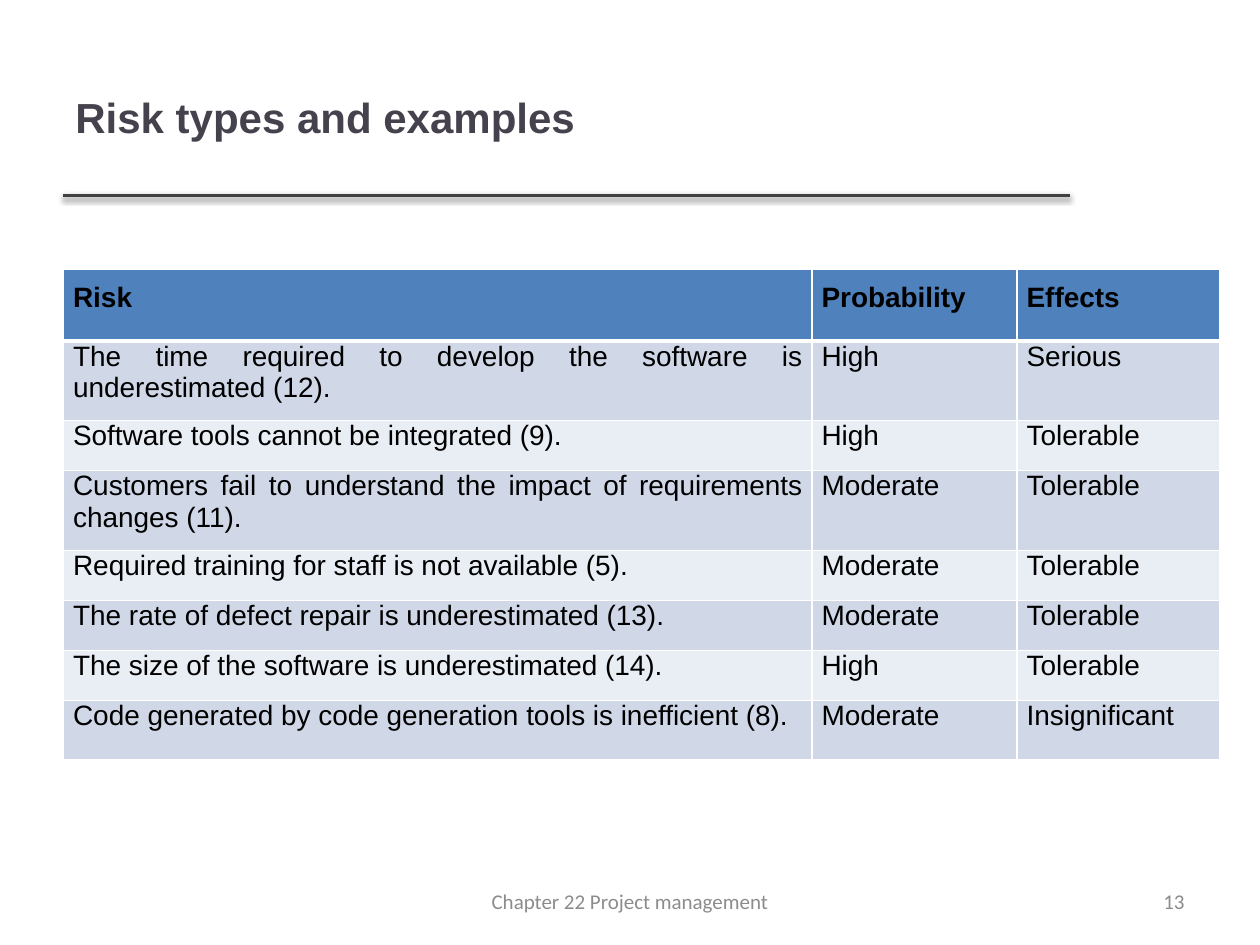
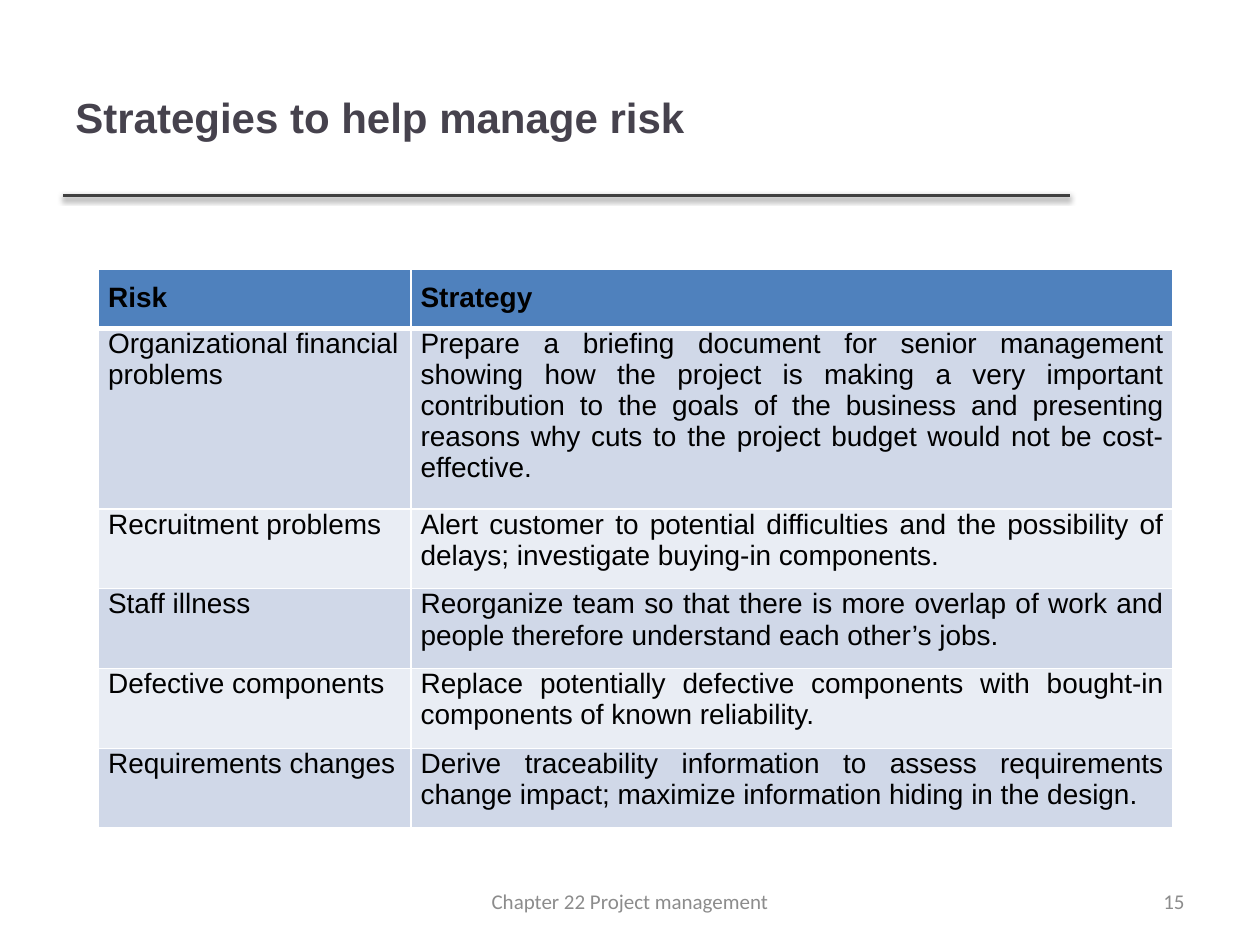
"""Build two project risk slides, each with a ruled title, a table and a footer."""
from lxml.etree import SubElement
from pptx import Presentation
from pptx.dml.color import RGBColor
from pptx.enum.shapes import MSO_CONNECTOR
from pptx.enum.text import MSO_ANCHOR, PP_ALIGN as Align
from pptx.oxml.ns import qn
from pptx.util import Pt

COLOURS = {
    "title": "46424D",
    "rule": "404040",
    "footer": "8C8C8C",
    "text": "000000",
    "shadow": "000000",
    "header": "4F81BD",
    "odd": "D0D8E8",
    "even": "E9EDF4",
    "border": "FFFFFF",
}
CHAPTER = "Chapter 22 Project management"

RISKS = [
    ("Risk", "Probability", "Effects"),
    ("The time required to develop the software is underestimated (12).", "High", "Serious"),
    ("Software tools cannot be integrated (9).", "High", "Tolerable"),
    ("Customers fail to understand the impact of requirements changes (11).", "Moderate", "Tolerable"),
    ("Required training for staff is not available (5).", "Moderate", "Tolerable"),
    ("The rate of defect repair is underestimated (13).", "Moderate", "Tolerable"),
    ("The size of the software is underestimated (14).", "High", "Tolerable"),
    ("Code generated by code generation tools is inefficient (8).", "Moderate", "Insignificant"),
]
STRATEGIES = [
    ("Risk", "Strategy"),
    ("Organizational financial problems",
     "Prepare a briefing document for senior management showing how the project is making "
     "a very important contribution to the goals of the business and presenting reasons why "
     "cuts to the project budget would not be cost-effective."),
    ("Recruitment problems",
     "Alert customer to potential difficulties and the possibility of delays; "
     "investigate buying-in components."),
    ("Staff illness",
     "Reorganize team so that there is more overlap of work and people therefore "
     "understand each other’s jobs."),
    ("Defective components",
     "Replace potentially defective components with bought-in components of known reliability."),
    ("Requirements changes",
     "Derive traceability information to assess requirements change impact; "
     "maximize information hiding in the design."),
]


def rgb(name):
    return RGBColor.from_string(COLOURS[name])


class Deck:
    def __init__(self):
        self.presentation = Presentation()
        self.presentation.slide_width = Pt(720)
        self.presentation.slide_height = Pt(540)
        self.slide = None

    def start_slide(self, title, number):
        self.slide = self.presentation.slides.add_slide(self.presentation.slide_layouts[6])
        self.rule()
        self.text(title, (36, 21.6, 574.6, 90), Align.LEFT, 24, "title", "Arial", True)
        self.text(str(number), (516, 500.4, 168, 28.8), Align.RIGHT, 12, "footer", "Calibri")
        self.text(CHAPTER, (246, 500.4, 228, 28.8), Align.CENTER, 12, "footer", "Calibri")

    def style(self, frame, align, size, colour, font, bold=False):
        paragraph = frame.paragraphs[0]
        paragraph.alignment = align
        for run in paragraph.runs:
            run.font.size = Pt(size)
            run.font.name = font
            run.font.bold = bold
            run.font.color.rgb = rgb(colour)

    def text(self, words, box, align, size, colour, font, bold=False):
        frame = self.slide.shapes.add_textbox(*map(Pt, box)).text_frame
        frame.word_wrap = True
        frame.vertical_anchor = MSO_ANCHOR.MIDDLE
        frame.text = words
        self.style(frame, align, size, colour, font, bold)

    def rule(self):
        rule = self.slide.shapes.add_connector(
            MSO_CONNECTOR.STRAIGHT, Pt(36), Pt(111.6), Pt(611.3), Pt(111.6))
        rule.line.color.rgb = rgb("rule")
        rule.line.width = Pt(2)
        effects = SubElement(rule._element.spPr, qn("a:effectLst"))
        shadow = SubElement(effects, qn("a:outerShdw"), blurRad=str(Pt(3.1)),
                            dist=str(Pt(1.6)), dir="5400000", rotWithShape="0")
        tint = SubElement(shadow, qn("a:srgbClr"), val=COLOURS["shadow"])
        SubElement(tint, qn("a:alpha"), val="38000")

    def borders(self, cell, top, bottom):
        properties = cell._tc.get_or_add_tcPr()
        for side, width in (("L", 1), ("R", 1), ("T", top), ("B", bottom)):
            edge = SubElement(properties, qn(f"a:ln{side}"), w=str(Pt(width)))
            fill = SubElement(edge, qn("a:solidFill"))
            SubElement(fill, qn("a:srgbClr"), val=COLOURS["border"])

    def table(self, rows, left, widths, heights, first_align=Align.JUSTIFY):
        grid = self.slide.shapes.add_table(
            len(rows), len(widths), Pt(left), Pt(154), Pt(sum(widths)), Pt(sum(heights))).table
        for column, width in zip(grid.columns, widths):
            column.width = Pt(width)
        for r, (row, height) in enumerate(zip(rows, heights)):
            grid.rows[r].height = Pt(height)
            header = r == 0
            band = "header" if header else "odd" if r % 2 else "even"
            for c, words in enumerate(row):
                cell = grid.cell(r, c)
                self.borders(cell, 3 if r == 1 else 1, 3 if header else 1)
                cell.fill.solid()
                cell.fill.fore_color.rgb = rgb(band)
                cell.margin_left = cell.margin_right = Pt(5.4)
                cell.margin_top = Pt(7.2 if header else 0)
                cell.margin_bottom = Pt(7.2)
                cell.text_frame.text = words
                align = first_align if c == 0 and not header else Align.JUSTIFY
                self.style(cell.text_frame, align, 16, "text", "Arial", header)


def main():
    deck = Deck()
    deck.start_slide("Risk types and examples", 13)
    deck.table(RISKS, 36.4, (427.7, 117.2, 115.9), (40.8, 34, 28.6, 34, 28.6, 28.6, 28.6, 34))
    deck.start_slide("Strategies to help manage risk", 15)
    deck.table(STRATEGIES, 56.4, (178.6, 435.4), [29.5] * len(STRATEGIES), Align.LEFT)
    deck.presentation.save("out.pptx")


if __name__ == "__main__":
    main()
